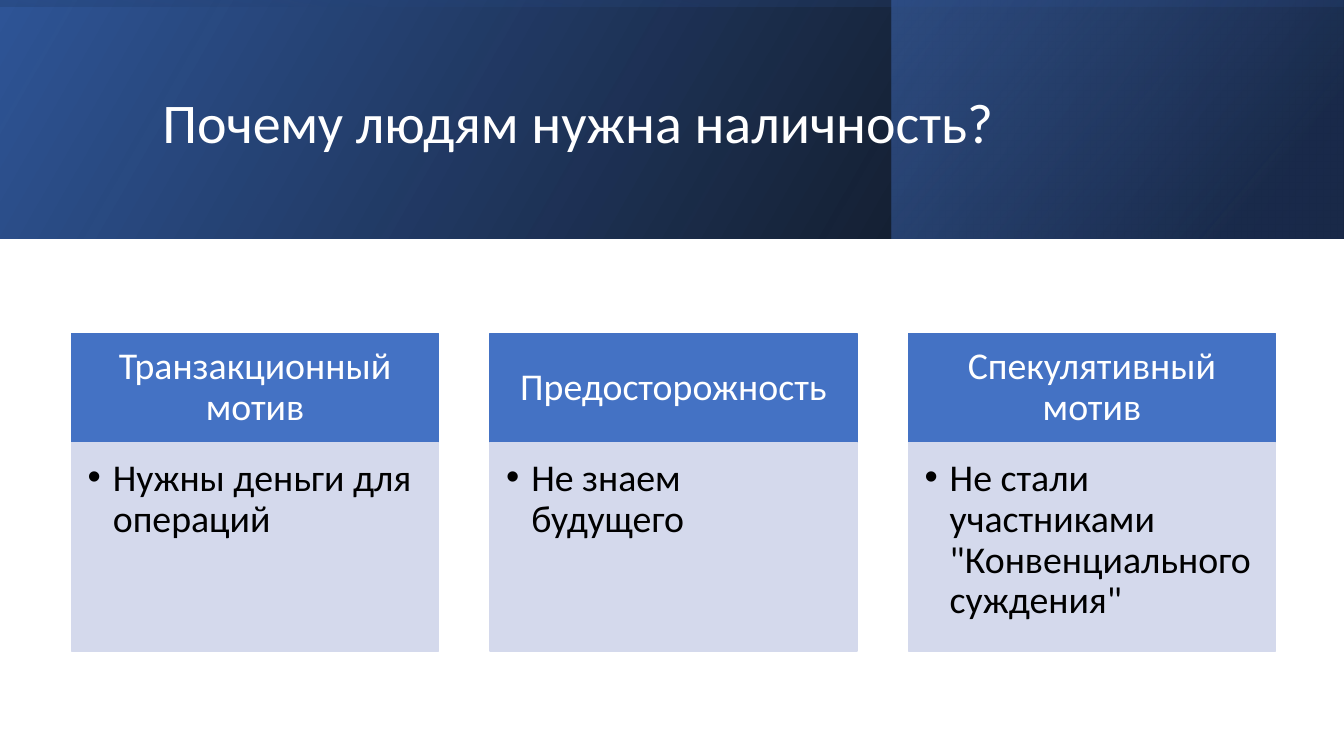
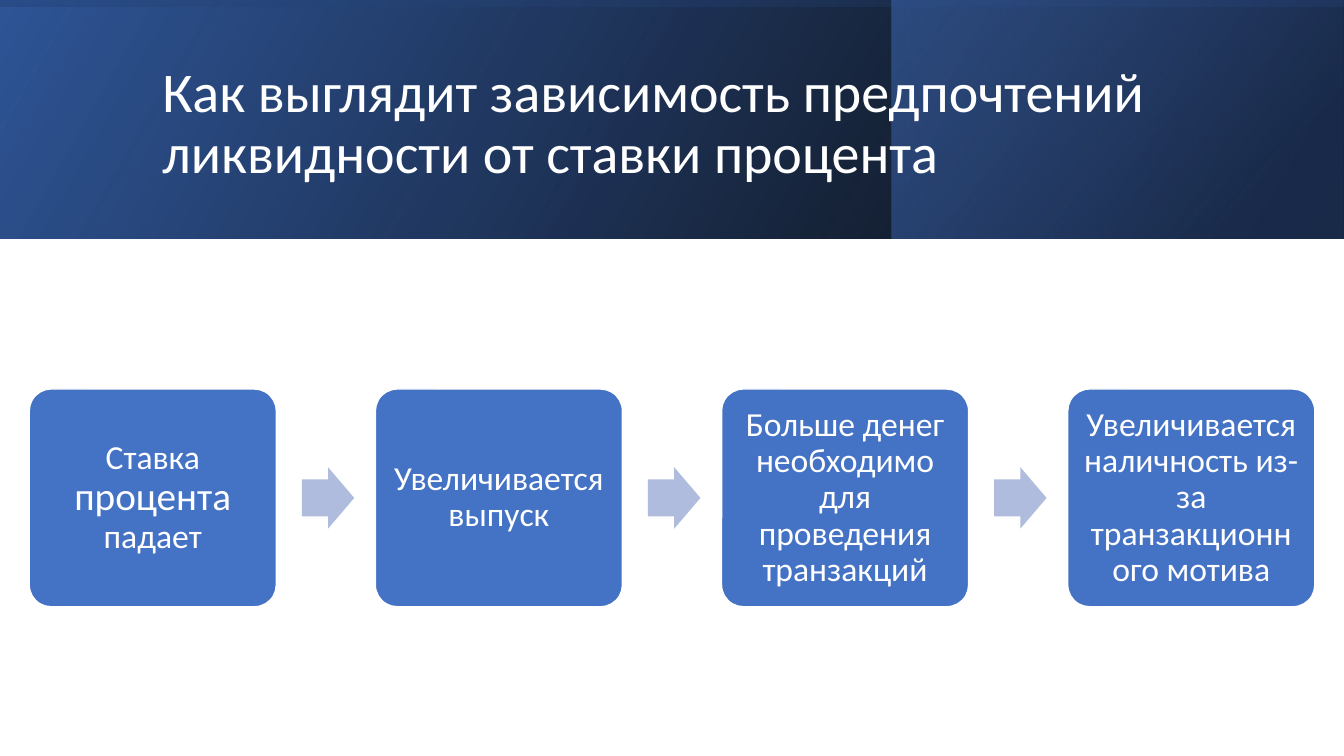
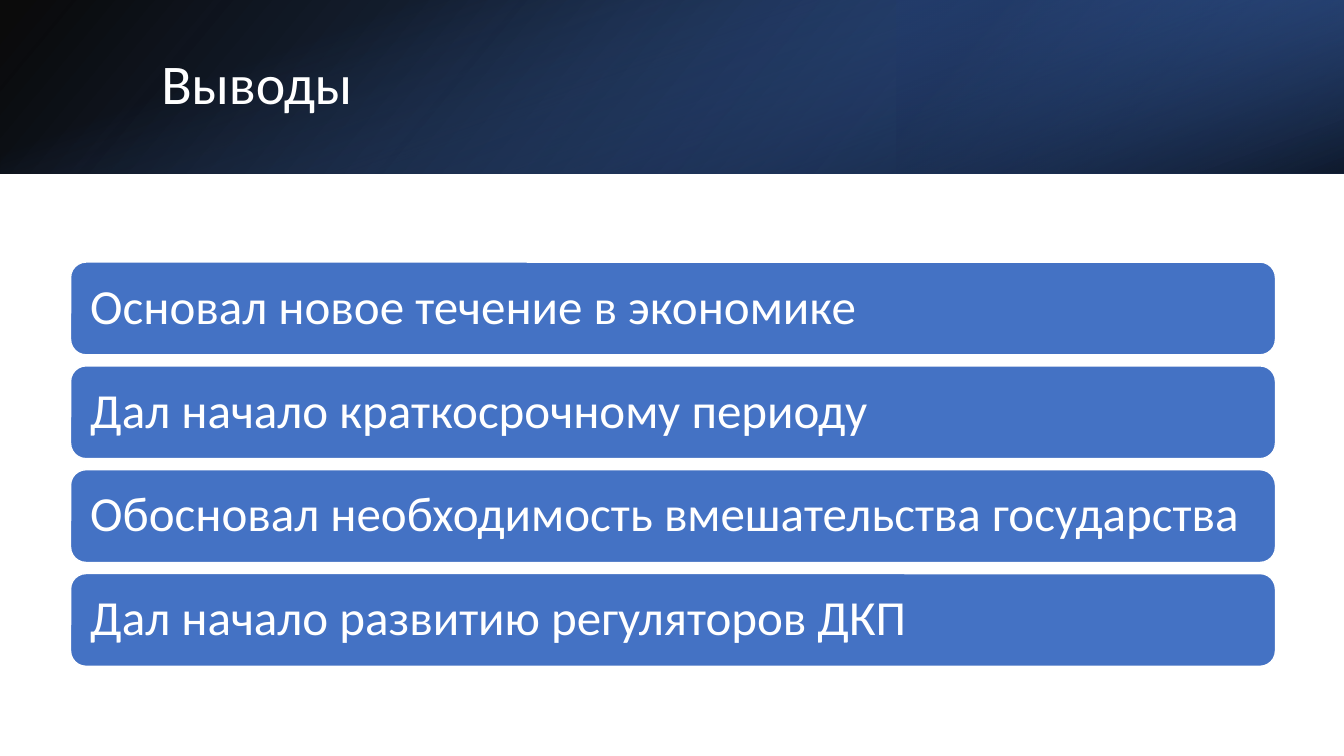
from lxml.etree import SubElement
from pptx import Presentation
from pptx.dml.color import RGBColor
from pptx.enum.shapes import MSO_SHAPE
from pptx.enum.text import MSO_ANCHOR, MSO_AUTO_SIZE, PP_ALIGN
from pptx.oxml import parse_xml
from pptx.oxml.ns import nsdecls, qn
from pptx.util import Inches, Pt

WIDE, HIGH = 13.33, 7.5
FONT = "Calibri"
HEX = {
    "white": "FFFFFF", "black": "000000", "blue": "4472C4",
    "deep": "2F5597", "navy": "203864", "pale": "D4D9EC", "arrow": "B0BCDE",
}

# Each layer: left, width, rotation, flipped, angle, stops (position, colour, opacity)
BASE = [(0, "black", 96), (100, "deep", 100)]
TALL = [
    (0, WIDE, 0, True, 330, BASE),
    (8.84, 4.48, 0, True, 320, [(19, "navy", 68), (100, "blue", 48)]),
    (0, WIDE, 270, True, 350, [(23, "deep", 16), (99, "black", 45)]),
]
LOW = [
    (0, WIDE, 0, True, 140, BASE),
    (8.89, 4.44, 180, True, 320, [(19, "navy", 68), (100, "blue", 79)]),
    (0, WIDE, 90, False, 340, [(23, "blue", 0), (99, "black", 74)]),
]


def rgb(name):
    return RGBColor.from_string(HEX[name])


def spread(start, span, size, count):
    """Starts of equal cells, set at equal gaps over a span."""
    step = (span - size) / (count - 1)
    return [start + i * step for i in range(count)]


def add_box(slide, kind, area, fill=None, line=None, adj=()):
    box = slide.shapes.add_shape(kind, *map(Inches, area))
    box.shadow.inherit = False
    if fill:
        box.fill.solid()
        box.fill.fore_color.rgb = rgb(fill)
    if line:
        box.line.color.rgb = rgb(line)
        box.line.width = Pt(1)
    else:
        box.line.fill.background()
    for i, part in enumerate(adj):
        box.adjustments[i] = part
    return box


def write(shape, runs, size, color="white", pads=None, align=PP_ALIGN.LEFT,
          anchor=MSO_ANCHOR.MIDDLE):
    """Set one paragraph; runs are pairs of text and own size (or None)."""
    frame = shape.text_frame
    frame.word_wrap = True
    frame.auto_size = MSO_AUTO_SIZE.NONE
    frame.vertical_anchor = anchor
    if pads:
        (frame.margin_left, frame.margin_top,
         frame.margin_right, frame.margin_bottom) = map(Inches, pads)
    para = frame.paragraphs[0]
    para.alignment = align
    para.line_spacing = 0.9
    para.font.name = FONT
    para.font.size = Pt(size)
    para.font.color.rgb = rgb(color)
    for text, own in runs:
        run = para.add_run()
        run.text = text
        if own:
            run.font.size = Pt(own)
    return para


def add_bullet(para, indent=0.25):
    props = para._p.get_or_add_pPr()
    props.set("marL", str(Inches(indent)))
    props.set("indent", str(-Inches(indent)))
    mark = SubElement(props, qn("a:buFont"))
    mark.set("typeface", "Arial")
    SubElement(props, qn("a:buChar")).set("char", "•")
    # The schema wants default run properties after the bullet
    props.append(props.find(qn("a:defRPr")))


def fade(shape, angle, stops):
    """Fill a shape with a linear gradient of partly clear colours."""
    marks = "".join(
        f'<a:gs pos="{pos * 1000}"><a:srgbClr val="{HEX[name]}">'
        f'<a:alpha val="{alpha * 1000}"/></a:srgbClr></a:gs>'
        for pos, name, alpha in stops)
    shape.fill.background()
    old = shape._element.spPr.find(qn("a:noFill"))
    old.getparent().replace(old, parse_xml(
        f'<a:gradFill rotWithShape="1" {nsdecls("a")}><a:gsLst>{marks}</a:gsLst>'
        f'<a:lin ang="{angle * 60000}" scaled="0"/></a:gradFill>'))


def add_layer(slide, high, left, wide, turn, flip, angle, stops):
    area = (left, 0, wide, high)
    if turn in (90, 270):
        mid = left + wide / 2
        area = (mid - high / 2, (high - wide) / 2, high, wide)
    layer = add_box(slide, MSO_SHAPE.RECTANGLE, area)
    layer.rotation = turn
    if flip:
        layer._element.spPr.xfrm.set("flipH", "1")
    fade(layer, angle, stops)


def add_slide(deck, text, layers, high, area):
    slide = deck.slides.add_slide(deck.slide_layouts[5])
    for layer in layers:
        add_layer(slide, high, *layer)
    title = slide.shapes.title
    title.left, title.top, title.width, title.height = map(Inches, area)
    write(title, [(text, None)], 40)
    slide.shapes._spTree.append(title._element)
    return slide


def add_cards(slide, cards):
    wide, top, head, body = 3.64, 3.31, 1.08, 2.07
    for left, (name, text) in zip(spread(0.71, 11.94, wide, len(cards)), cards):
        box = add_box(slide, MSO_SHAPE.RECTANGLE, (left, top, wide, head),
                      "blue", "blue")
        write(box, [(name, None)], 27, pads=(0.21, 0.12, 0.21, 0.12),
              align=PP_ALIGN.CENTER)
        box = add_box(slide, MSO_SHAPE.RECTANGLE, (left, top + head, wide, body),
                      "pale", "pale")
        add_bullet(write(box, [(text, None)], 27, "black",
                         (0.16, 0.16, 0.21, 0.24), anchor=MSO_ANCHOR.TOP))


def add_flow(slide, steps):
    wide, high, top = 2.45, 2.16, 3.86
    for i, left in enumerate(spread(0.29, 12.75, wide, len(steps))):
        if i:
            add_box(slide, MSO_SHAPE.RIGHT_ARROW,
                    (left - 0.73, top + (high - 0.61) / 2, 0.52, 0.61),
                    "arrow", adj=(0.6, 0.5))
        box = add_box(slide, MSO_SHAPE.ROUNDED_RECTANGLE, (left, top, wide, high),
                      "blue", "white", (0.1,))
        write(box, steps[i], 24, pads=(0.1,) * 4, align=PP_ALIGN.CENTER)


def add_bars(slide, lines):
    high = 0.92
    for top, text in zip(spread(2.6, 4.01, high, len(lines)), lines):
        bar = add_box(slide, MSO_SHAPE.ROUNDED_RECTANGLE, (0.7, top, 11.95, high),
                      "blue", "white")
        write(bar, [(text, None)], 35, pads=(0.15,) * 4)


def main():
    deck = Presentation()
    deck.slide_width, deck.slide_height = Inches(WIDE), Inches(HIGH)
    tall = (TALL, 2.37, (1.51, 0.38, 10.63, 1.72))
    low = (LOW, 1.72, (1.5, 0.38, 10.98, 0.96))

    add_cards(add_slide(deck, "Почему людям нужна наличность?", *tall), [
        ("Транзакционный мотив", "Нужны деньги для операций"),
        ("Предосторожность", "Не знаем будущего"),
        ("Спекулятивный мотив",
         'Не стали участниками "Конвенциального суждения"'),
    ])
    add_flow(add_slide(deck, "Как выглядит зависимость предпочтений "
                       "ликвидности от ставки процента", *tall), [
        [("Ставка ", None), ("процента", 28), (" падает", None)],
        [("Увеличивается выпуск", None)],
        [("Больше денег необходимо для проведения транзакций", None)],
        [("Увеличивается наличность из-за транзакционного мотива", None)],
    ])
    add_bars(add_slide(deck, "Выводы", *low), [
        "Основал новое течение в экономике",
        "Дал начало краткосрочному периоду",
        "Обосновал необходимость вмешательства государства",
        "Дал начало развитию регуляторов ДКП",
    ])
    deck.save("out.pptx")


if __name__ == "__main__":
    main()
